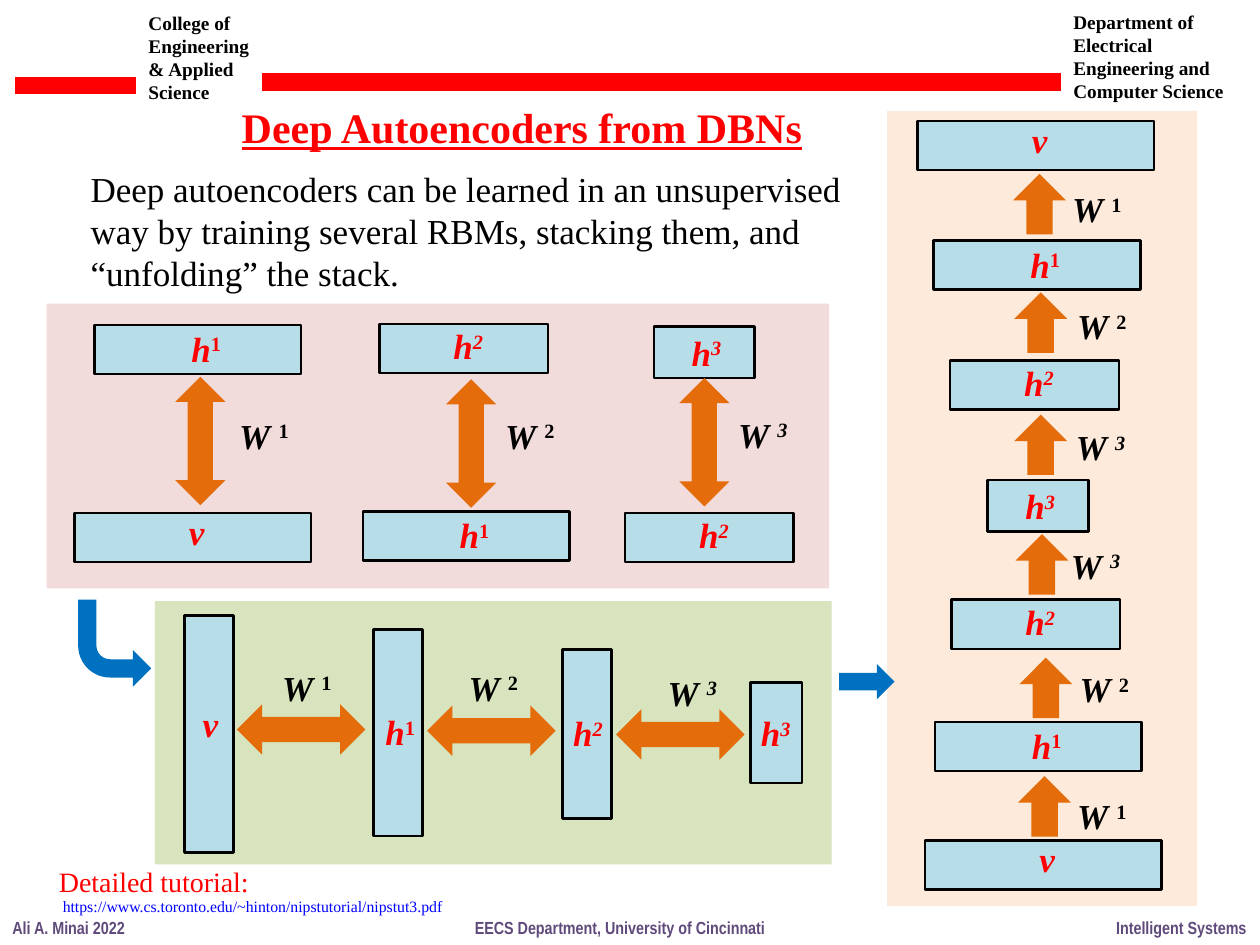
from pptx import Presentation, util as u
from pptx.dml.color import RGBColor
from pptx.enum import shapes, text
from lxml import etree

COLORS = {"red": "FF0000", "black": "000000", "purple": "604A7B", "link": "0000FF",
          "peach": "FDEADA", "green": "D7E4BD", "pink": "F2DCDB",
          "layer": "B7DEE8", "orange": "E46C0A", "blue": "0070C0"}
SERIF = "Times New Roman"
KIND = shapes.MSO_SHAPE

deck = Presentation()
deck.slide_width, deck.slide_height = u.Inches(10), u.Inches(7.5)
slide = deck.slides.add_slide(deck.slide_layouts[6])
COL, ROW = deck.slide_width / 100, deck.slide_height / 75


def write(words, x, y, w, h, size=20, color="black", font=SERIF, bold=False,
          italic=False, underline=False, wrap=False, power="", power_italic=False):
    box = slide.shapes.add_textbox(int(x * COL), int(y * ROW), int(w * COL), int(h * ROW))
    frame = box.text_frame
    frame.word_wrap = wrap
    frame.auto_size = text.MSO_AUTO_SIZE.SHAPE_TO_FIT_TEXT
    for number, line in enumerate(words.split("\n")):
        paragraph = frame.add_paragraph() if number else frame.paragraphs[0]
        pieces = [(line, italic)] + ([(power, power_italic)] if power else [])
        for position, (piece, slanted) in enumerate(pieces):
            run = paragraph.add_run()
            run.text = piece
            run.font.size, run.font.name = u.Pt(size), font
            run.font.bold, run.font.italic = bold, slanted
            if underline:
                run.font.underline = True
            run.font.color.rgb = RGBColor.from_string(COLORS[color])
            if position:
                run.font._element.set("baseline", "30000")


def draw(kind, x, y, w, h, fill, outlined=False, turn=0, flipped=False):
    part = slide.shapes.add_shape(kind, int(x * COL), int(y * ROW), int(w * COL), int(h * ROW))
    part.shadow.inherit = False
    part.fill.solid()
    part.fill.fore_color.rgb = RGBColor.from_string(COLORS[fill])
    if outlined:
        part.line.color.rgb = RGBColor.from_string(COLORS["black"])
        part.line.width = u.Pt(1.5)
    else:
        part.line.fill.background()
    part.rotation = turn
    if flipped:
        part._element.spPr.xfrm.set("flipV", "1")


write("College of Engineering & Applied\nScience", 10.8, 0.4, 10.9, 8.4, size=11, bold=True, wrap=True)
write("Department of Electrical Engineering and Computer Science",
      84.2, 0.3, 14.7, 8.4, size=11, bold=True, wrap=True)
for start, end, y in [(1.2, 10.8, 6.8), (20.8, 84.2, 6.5)]:
    rule = slide.shapes.add_connector(shapes.MSO_CONNECTOR.STRAIGHT, int(start * COL), int(y * ROW),
                                      int(end * COL), int(y * ROW))
    rule.line.color.rgb = RGBColor.from_string(COLORS["red"])
    rule.line.width = u.Pt(10)
    etree.SubElement(rule._element.spPr, "{http://schemas.openxmlformats.org/drawingml/2006/main}effectLst")

for words, x, w in [("Ali A. Minai 2022", 0, 11), ("Intelligent Systems", 87.6, 12.4),
                    ("EECS Department, University of Cincinnati", 36.7, 25.2)]:
    write(words, x, 72.3, w, 2.7, size=10, color="purple", font="Arial Narrow", bold=True)

draw(KIND.RECTANGLE, 70.4, 8.8, 24.6, 63.1, "peach")
draw(KIND.RECTANGLE, 12.3, 47.7, 53.7, 20.9, "green")
draw(KIND.RECTANGLE, 3.7, 24.1, 62.1, 22.6, "pink")

write("Deep Autoencoders from DBNs", 18.2, 7.6, 46.9, 5, size=24, color="red", bold=True, underline=True)
write("Deep autoencoders can be learned in an unsupervised way by training several RBMs, "
      "stacking them, and “unfolding” the stack.", 6.2, 12.8, 64.2, 11.1, wrap=True)
write("https://www.cs.toronto.edu/~hinton/nipstutorial/nipstut3.pdf",
      4, 70.7, 50, 2.5, size=9, color="link", wrap=True)
write("Detailed tutorial:", 3.7, 68.1, 17.4, 3.7, size=16, color="red")

layer_sizes = {"v": (18.8, 3.9), "h1": (16.4, 3.9), "h2": (13.4, 3.9), "h3": (8, 4.1)}
label_sizes = {"v": (2.5, 4.4), "h1": (4.5, 4.4), "h2": (4.5, 4.4), "h3": (5.2, 4.6)}
label_offsets = {0: {"v": (8.1, -0.7), "h1": (6.7, -0.3), "h2": (4.9, -0.4), "h3": (2, -0.1)},
                 90: {"v": (7.9, -1), "h1": (6.2, -0.3), "h2": (4.6, -0.3), "h3": (1.8, -0.1)}}
layers = [
    ("v", 5.9, 40.7, 0), ("h1", 28.8, 40.6, 0), ("h2", 49.6, 40.7, 0),
    ("h1", 7.5, 25.8, 0), ("h2", 30.1, 25.7, 0), ("h3", 51.9, 25.9, 0),
    ("v", 7.2, 56.3, 90), ("h1", 23.4, 56.2, 90), ("h2", 39.9, 56.3, 90), ("h3", 57.6, 56.1, 90),
    ("v", 72.8, 9.6, 0), ("h1", 74.1, 19.1, 0), ("h2", 75.4, 28.6, 0), ("h3", 78.4, 38.1, 0),
    ("h2", 75.5, 47.6, 0), ("h1", 74.2, 57.3, 0), ("v", 73.4, 66.7, 0)]
for name, x, y, turn in layers:
    draw(KIND.RECTANGLE, x, y, *layer_sizes[name], "layer", outlined=True, turn=turn)
    dx, dy = label_offsets[turn][name]
    write(name[0], x + dx, y + dy, *label_sizes[name], color="red", bold=True, italic=True,
          power=name[1:], power_italic=name in ("h2", "h3"))

for x, y, turn in [(13.9, 29.9, 0), (35.4, 30.1, 0), (53.9, 30, 0),
                   (21.9, 52.8, 90), (37, 52.9, 90), (52, 53.2, 90)]:
    draw(KIND.UP_DOWN_ARROW, x, y, 4, 10.2, "orange", turn=turn)
for x, y in [(80.4, 13.8), (80.5, 23.2), (80.5, 32.9), (80.6, 42.4), (80.9, 52.2), (80.8, 61.6)]:
    draw(KIND.DOWN_ARROW, x, y, 4.2, 4.8, "orange", flipped=True)

weights = [("1", 18, 32.4), ("2", 39.1, 32.4), ("3", 57.6, 32.3),
           ("1", 21.4, 52.4), ("2", 36.2, 52.4), ("3", 52, 52.8),
           ("1", 84.1, 14.4), ("2", 84.5, 23.7), ("3", 84.4, 33.3),
           ("3", 84, 42.7), ("2", 84.7, 52.5), ("1", 84.5, 62.6)]
for power, x, y in weights:
    write("W ", x, y, 6.2, 4.4, bold=True, italic=True, power=power, power_italic=power == "3")

draw(KIND.BENT_ARROW, 6.2, 47.6, 5.8, 6.9, "blue", flipped=True)
draw(KIND.RIGHT_ARROW, 66.6, 52.7, 4.4, 2.8, "blue")

deck.save("out.pptx")
